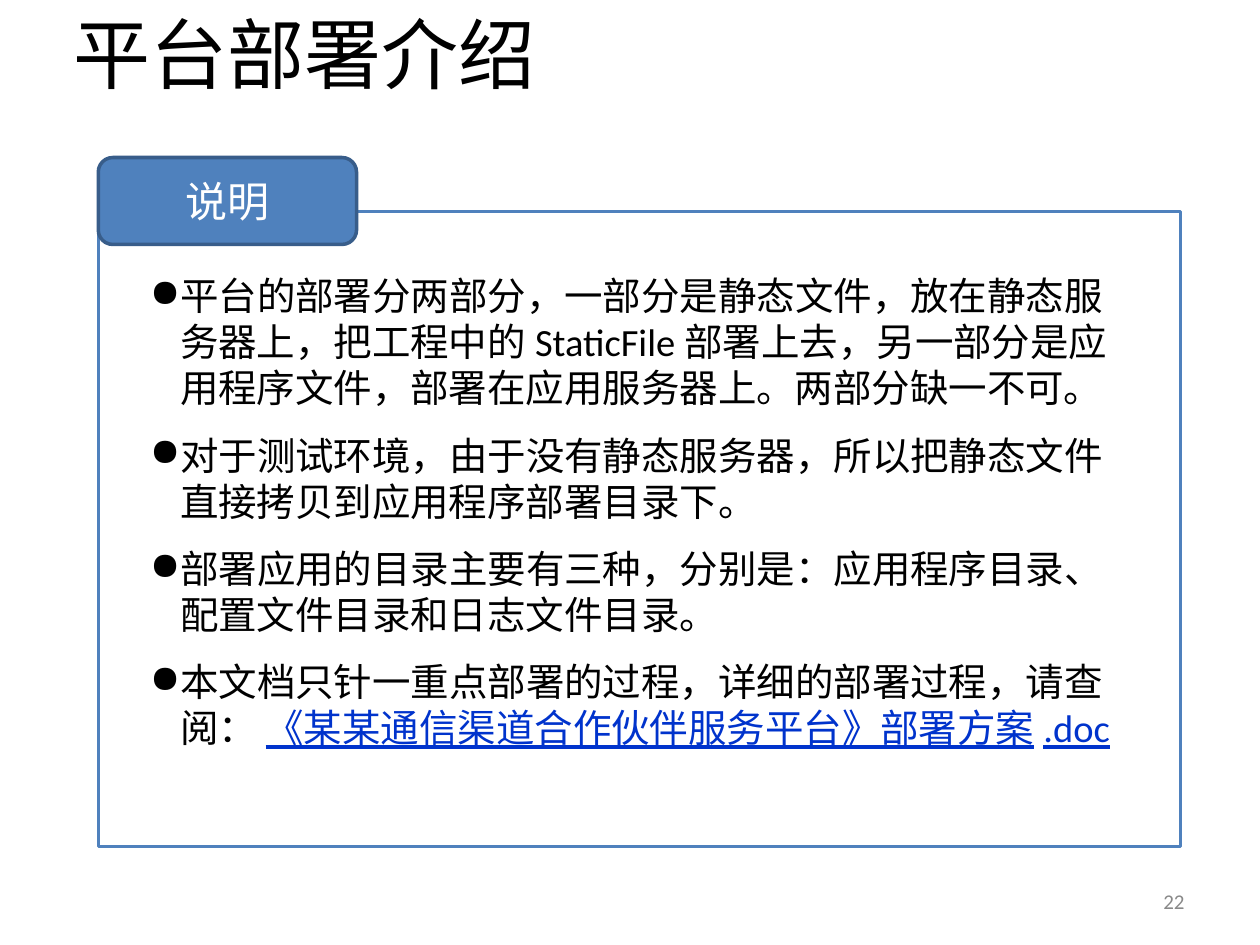
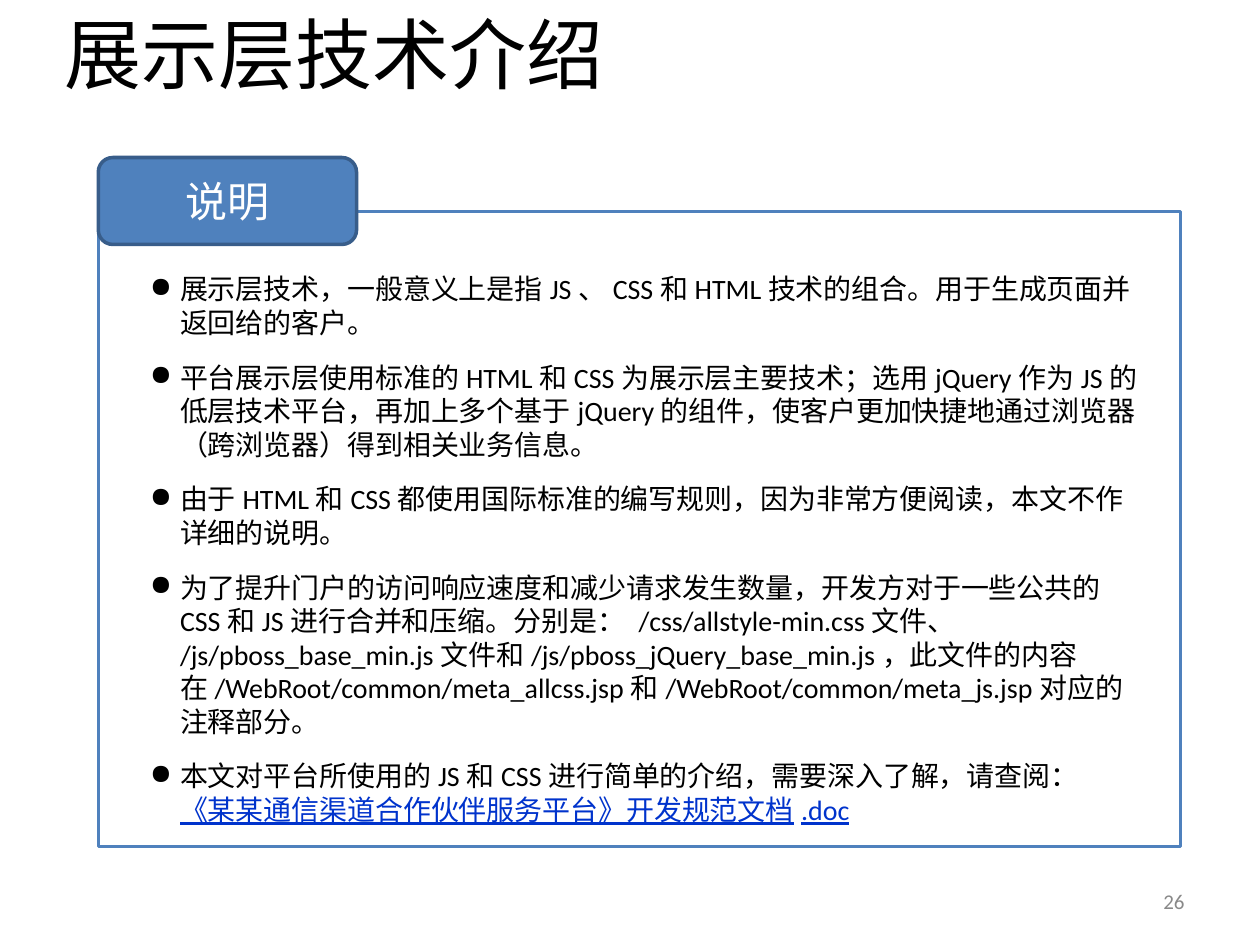
from lxml import etree
from pptx import Presentation
from pptx import util as u
from pptx.dml.color import RGBColor
from pptx.enum import shapes, text
from pptx.oxml import ns

BLACK = RGBColor(0x00, 0x00, 0x00)
WHITE = RGBColor(0xFF, 0xFF, 0xFF)
BLUE = RGBColor(0x4F, 0x81, 0xBD)
DARK_BLUE = RGBColor(0x38, 0x5D, 0x8A)
LINK_BLUE = RGBColor(0x00, 0x33, 0xCC)
GREY = RGBColor(0x89, 0x89, 0x89)

BODY_FONT = "Calibri"
TITLE_FONT = "Noto Sans CJK SC"
HANG = u.Inches(0.24)

TITLE = {"size": u.Pt(44), "name": TITLE_FONT, "color": BLACK}
TAB = {"size": u.Pt(24), "name": BODY_FONT, "color": WHITE}
NUMBER = {"size": u.Pt(12), "name": BODY_FONT, "color": GREY}

# Content of each slide; the last point ends in a document reference
PAGES = [
    {
        "title": "平台部署介绍", "title_width": 4.22, "number": "22",
        "size": 22, "height": 4.43,
        "points": [
            "平台的部署分两部分，一部分是静态文件，放在静态服务器上，把工程中的StaticFile部署上去，"
            "另一部分是应用程序文件，部署在应用服务器上。两部分缺一不可。",
            "对于测试环境，由于没有静态服务器，所以把静态文件直接拷贝到应用程序部署目录下。",
            "部署应用的目录主要有三种，分别是：应用程序目录、配置文件目录和日志文件目录。",
            "本文档只针一重点部署的过程，详细的部署过程，请查阅： ",
        ],
        "document": "《某某通信渠道合作伙伴服务平台》部署方案.doc",
    },
    {
        "title": "展示层技术介绍", "title_width": 4.69, "number": "26",
        "size": 16, "height": 4.5,
        "points": [
            "展示层技术，一般意义上是指JS、CSS和HTML技术的组合。用于生成页面并返回给的客户。",
            "平台展示层使用标准的HTML和CSS为展示层主要技术；选用jQuery作为JS的低层技术平台，"
            "再加上多个基于jQuery的组件，使客户更加快捷地通过浏览器（跨浏览器）得到相关业务信息。",
            "由于HTML和CSS都使用国际标准的编写规则，因为非常方便阅读，本文不作详细的说明。",
            "为了提升门户的访问响应速度和减少请求发生数量，开发方对于一些公共的CSS和JS进行合并和压缩。"
            "分别是： /css/allstyle-min.css文件、 /js/pboss_base_min.js文件和"
            "/js/pboss_jQuery_base_min.js，此文件的内容在/WebRoot/common/meta_allcss.jsp和"
            "/WebRoot/common/meta_js.jsp对应的注释部分。",
            "本文对平台所使用的JS和CSS进行简单的介绍，需要深入了解，请查阅： ",
        ],
        "document": "《某某通信渠道合作伙伴服务平台》开发规范文档.doc",
    },
]


def add_words(paragraph, words, style):
    """Add a run and apply the font values in style to it."""
    run = paragraph.add_run()
    run.text = words
    for key, value in style.items():
        if key == "color":
            run.font.color.rgb = value
        else:
            setattr(run.font, key, value)
    east_asian = etree.SubElement(run.font._element, ns.qn("a:ea"))
    east_asian.set("typeface", style["name"])


def add_bullet(paragraph):
    """Give the paragraph a hanging black dot."""
    props = paragraph._p.get_or_add_pPr()
    props.set("marL", str(HANG))
    props.set("indent", str(-HANG))
    colour = etree.SubElement(props, ns.qn("a:buClr"))
    etree.SubElement(colour, ns.qn("a:srgbClr")).set("val", str(BLACK))
    etree.SubElement(props, ns.qn("a:buChar")).set("char", "●")


deck = Presentation()
deck.slide_width, deck.slide_height = u.Inches(10), u.Inches(7.5)

for page in PAGES:
    slide = deck.slides.add_slide(deck.slide_layouts[6])

    # Panel and its tab
    for preset, place, fill, line in (
        (shapes.MSO_SHAPE.RECTANGLE, (0.78, 1.68, 8.59, 5.04), WHITE, BLUE),
        (shapes.MSO_SHAPE.ROUNDED_RECTANGLE, (0.78, 1.25, 2.05, 0.69), BLUE, DARK_BLUE),
    ):
        panel_part = slide.shapes.add_shape(preset, *map(u.Inches, place))
        panel_part.shadow.inherit = False
        panel_part.fill.solid()
        panel_part.fill.fore_color.rgb = fill
        panel_part.line.color.rgb = line
        panel_part.line.width = u.Pt(2)
    tab_label = panel_part.text_frame
    tab_label.vertical_anchor = text.MSO_ANCHOR.MIDDLE
    tab_label.paragraphs[0].alignment = text.PP_ALIGN.CENTER
    add_words(tab_label.paragraphs[0], "说明", TAB)

    # Title and page number
    for words, style, place, align, anchor in (
        (page["title"], TITLE, (0.31, 0, page["title_width"], 0.92),
         text.PP_ALIGN.CENTER, text.MSO_ANCHOR.TOP),
        (page["number"], NUMBER, (7.17, 6.95, 2.33, 0.4),
         text.PP_ALIGN.RIGHT, text.MSO_ANCHOR.MIDDLE),
    ):
        frame = slide.shapes.add_textbox(*map(u.Inches, place)).text_frame
        frame.word_wrap = True
        frame.vertical_anchor = anchor
        frame.paragraphs[0].alignment = align
        add_words(frame.paragraphs[0], words, style)

    # Explanation points
    place = (1.09, 2.11, 8.05, page["height"])
    explanation = slide.shapes.add_textbox(*map(u.Inches, place)).text_frame
    explanation.word_wrap = True
    explanation.auto_size = text.MSO_AUTO_SIZE.SHAPE_TO_FIT_TEXT
    body = {"size": u.Pt(page["size"]), "name": BODY_FONT, "color": BLACK}
    for index, point in enumerate(page["points"]):
        paragraph = explanation.add_paragraph() if index else explanation.paragraphs[0]
        paragraph.space_after = u.Pt(12)
        add_bullet(paragraph)
        add_words(paragraph, point, body)
    add_words(paragraph, page["document"], {**body, "color": LINK_BLUE, "underline": True})

deck.save("out.pptx")
